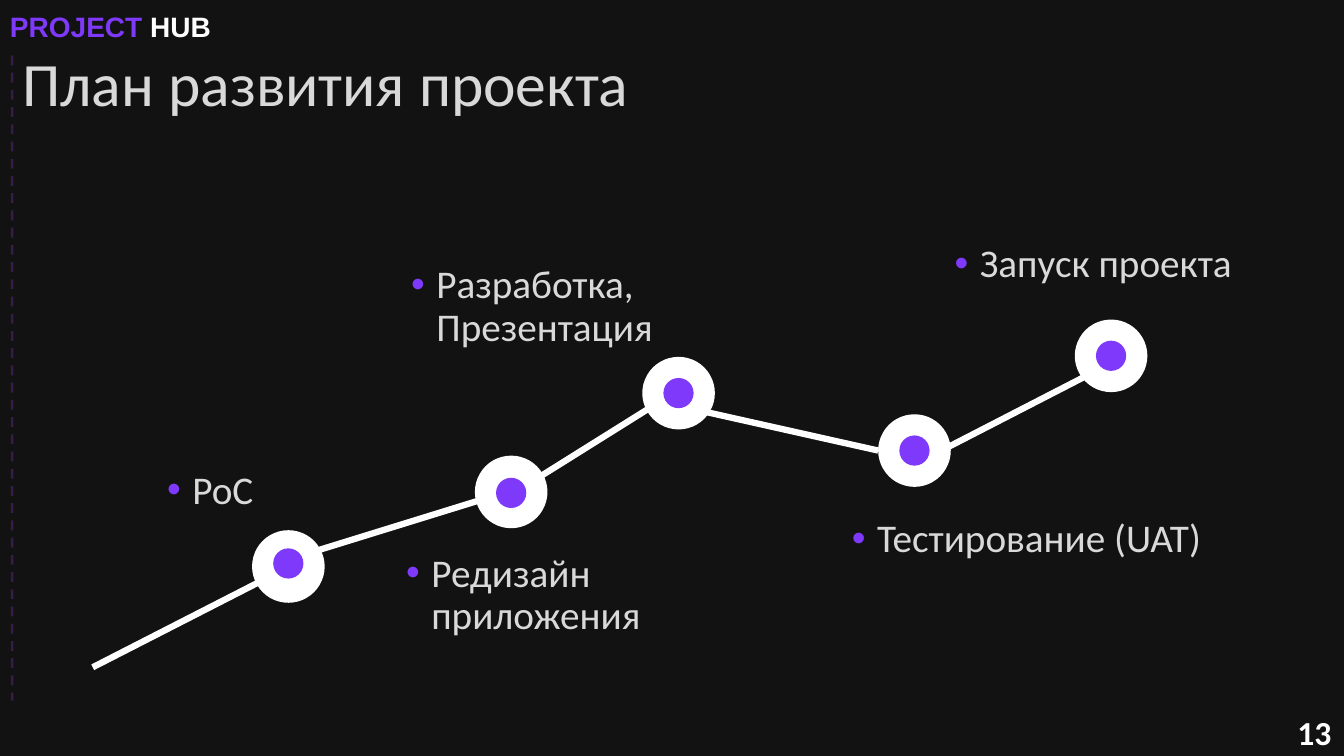
from dataclasses import dataclass

from lxml.etree import SubElement
from pptx import Presentation
from pptx.dml.color import RGBColor
from pptx.enum.dml import MSO_LINE
from pptx.enum.shapes import MSO_CONNECTOR, MSO_SHAPE
from pptx.enum.text import MSO_ANCHOR, MSO_AUTO_SIZE, PP_ALIGN
from pptx.oxml.ns import qn
from pptx.util import Inches, Pt


@dataclass(frozen=True)
class Theme:
    background: str = "121212"
    text: str = "D9D9D9"
    accent: str = "7F39FB"
    white: str = "FFFFFF"
    rail: str = "7030A0"
    body_font: str = "Calibri"
    brand_font: str = "Arial"
    title_size: int = 44
    label_size: int = 28
    number_size: int = 24
    brand_size: int = 20


theme = Theme()
HALO, DOT = 0.72, 0.3

# Halo left, halo top, dot top
milestones = [
    (2.5, 5.26, 5.44),
    (4.71, 4.52, 4.74),
    (6.37, 3.54, 3.75),
    (8.71, 4.11, 4.32),
    (10.66, 3.17, 3.38),
]
# Start x, start y, end x, end y
route = [
    (0.92, 6.62, 2.99, 5.56),
    (3.12, 5.47, 4.8, 4.95),
    (5.29, 4.77, 6.52, 4),
    (6.79, 4.04, 8.71, 4.47),
    (9.22, 4.53, 10.87, 3.68),
]
# Text, left, top, width, height
labels = [
    ("PoC", 1.56, 4.62, 2.17, 1.04),
    ("Редизайн приложения", 3.93, 5.44, 4.11, 1.04),
    ("Разработка, Презентация", 3.98, 2.58, 4.11, 1.04),
    ("Тестирование (UAT)", 8.35, 5.1, 4.11, 1.32),
    ("Запуск проекта", 9.37, 2.37, 4.64, 1.04),
]


def style_span(span, size, color, font=theme.body_font, bold=False):
    span.font.size = Pt(size)
    span.font.name = font
    span.font.bold = bold
    span.font.color.rgb = RGBColor.from_string(color)


def add_line(ends, color, width):
    """Draw a shadowless straight line and return it."""
    line = slide.shapes.add_connector(MSO_CONNECTOR.STRAIGHT, *map(Inches, ends))
    line.line.color.rgb = RGBColor.from_string(color)
    line.line.width = Pt(width)
    SubElement(line._element.spPr, qn("a:effectLst"))
    return line


deck = Presentation()
deck.slide_width, deck.slide_height = Inches(13.33), Inches(7.5)
slide = deck.slides.add_slide(deck.slide_layouts[5])
slide.background.fill.solid()
slide.background.fill.fore_color.rgb = RGBColor.from_string(theme.background)

# Title
title = slide.shapes.title
title.left, title.top, title.width, title.height = map(Inches, (0.12, 0.48, 6.85, 0.96))
title.text_frame.text = "План развития проекта"
title.text_frame.vertical_anchor = MSO_ANCHOR.TOP
title.text_frame.auto_size = MSO_AUTO_SIZE.NONE
para = title.text_frame.paragraphs[0]
para.alignment = PP_ALIGN.LEFT
para.line_spacing = 0.9
para.space_before = Pt(10)
style_span(para.runs[0], theme.title_size, theme.text)

# Header, side rail and page number
header = slide.shapes.add_textbox(*map(Inches, (0, 0.05, 5.55, 0.44)))
header.text_frame.word_wrap = True
for text, color in (("PROJECT", theme.accent), (" HUB", theme.white)):
    span = header.text_frame.paragraphs[0].add_run()
    span.text = text
    style_span(span, theme.brand_size, color, theme.brand_font, bold=True)

rail = add_line((0.12, 0.55, 0.12, 6.95), theme.rail, 1.75)
rail.line.dash_style = MSO_LINE.DASH
rail_color = rail._element.spPr.find(".//" + qn("a:srgbClr"))
SubElement(rail_color, qn("a:alpha"), val="38000")

number = slide.shapes.add_textbox(*map(Inches, (12.77, 7.01, 0.56, 0.5)))
number.text_frame.text = "13"
style_span(number.text_frame.paragraphs[0].runs[0], theme.number_size, theme.white, bold=True)

# Roadmap: halos, then the route, then the dots on top
halos = [(left, top, HALO) for left, top, _ in milestones]
dots = [(left + (HALO - DOT) / 2, dot_top, DOT) for left, _, dot_top in milestones]
for circles, color in ((halos, theme.white), (dots, theme.accent)):
    if circles is dots:
        for ends in route:
            add_line(ends, theme.white, 4.5)
    for left, top, size in circles:
        circle = slide.shapes.add_shape(MSO_SHAPE.OVAL, *map(Inches, (left, top, size, size)))
        circle.shadow.inherit = False
        circle.fill.solid()
        circle.fill.fore_color.rgb = RGBColor.from_string(color)
        circle.line.fill.background()

# Milestone labels
for text, *place in labels:
    box = slide.shapes.add_textbox(*map(Inches, place))
    box.text_frame.word_wrap = True
    box.text_frame.text = text
    para = box.text_frame.paragraphs[0]
    para.line_spacing = 0.9
    para.space_before = Pt(10)
    style_span(para.runs[0], theme.label_size, theme.text)
    properties = para._p.get_or_add_pPr()
    properties.set("marL", str(Inches(0.25)))
    properties.set("indent", str(Inches(-0.25)))
    SubElement(SubElement(properties, qn("a:buClr")), qn("a:srgbClr"), val=theme.accent)
    SubElement(properties, qn("a:buFont"), typeface=theme.brand_font)
    SubElement(properties, qn("a:buChar"), char="•")

deck.save("out.pptx")
